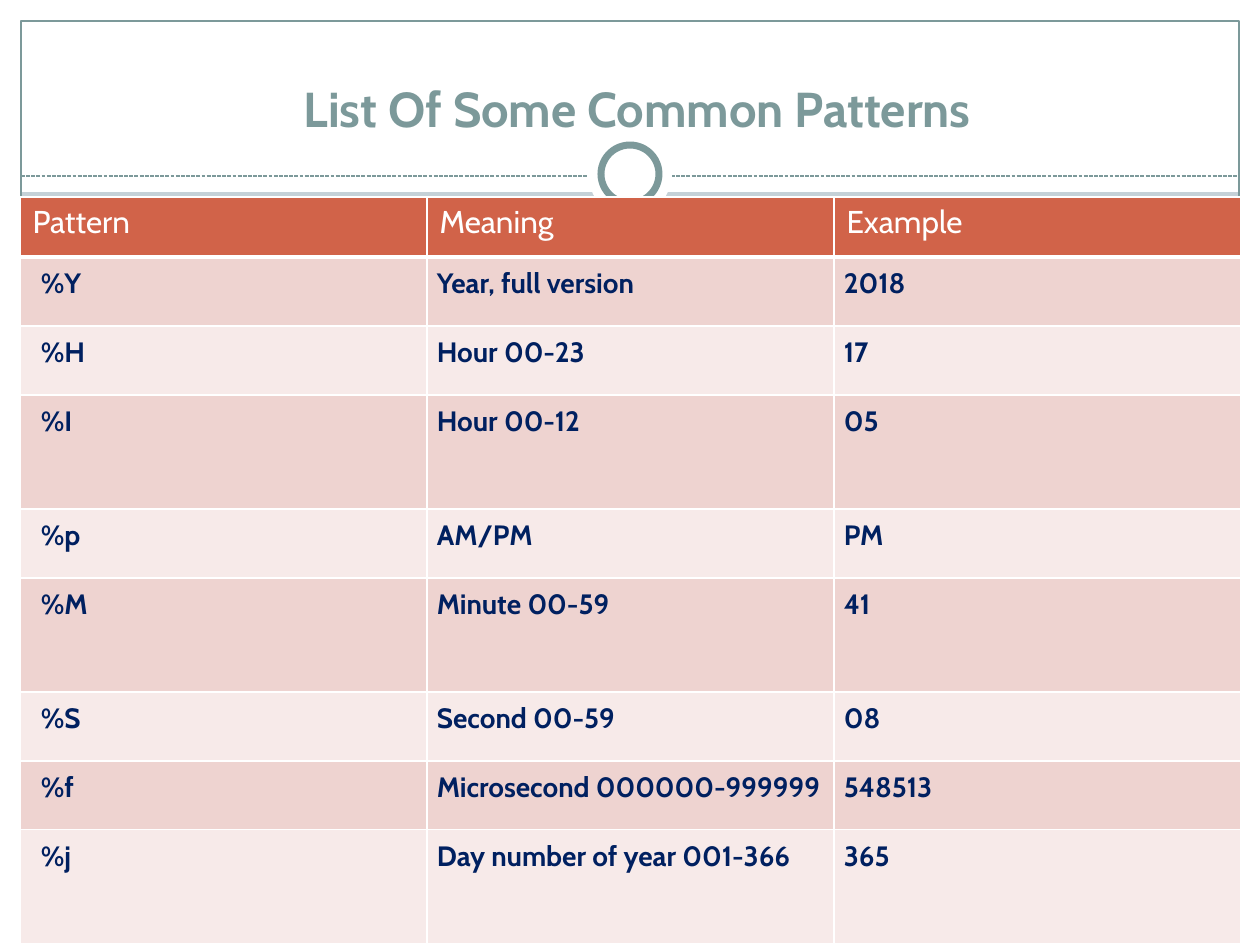
from lxml.etree import SubElement
from pptx import Presentation
from pptx.dml.color import RGBColor
from pptx.enum.dml import MSO_LINE
from pptx.enum.shapes import MSO_CONNECTOR as Conn, MSO_SHAPE as Kind
from pptx.enum.text import MSO_ANCHOR as Anchor, PP_ALIGN as Align
from pptx.oxml.ns import qn
from pptx.util import Emu, Inches, Pt

WHITE = RGBColor(0xFF, 0xFF, 0xFF)
MIST = RGBColor(0xC5, 0xD1, 0xD7)
SAGE = RGBColor(0x8C, 0xAD, 0xAE)
TEAL = RGBColor(0x7C, 0x99, 0x9A)
RUST = RGBColor(0xD1, 0x63, 0x49)
ROSE = RGBColor(0xEE, 0xD3, 0xD0)
BLUSH = RGBColor(0xF7, 0xEA, 0xE9)
NAVY = RGBColor(0x00, 0x20, 0x60)
FONT = "Cabin"
SCALE = Inches(1) / 126


def px(*nums):
    return [Emu(round(n * SCALE)) for n in nums]


def draw(kind, box, fill=None, line=None, width=0):
    shape = shapes.add_shape(kind, *px(*box))
    shape.shadow.inherit = False
    if fill is None:
        shape.fill.background()
    else:
        shape.fill.solid()
        shape.fill.fore_color.rgb = fill
    if line is None:
        shape.line.fill.background()
    else:
        shape.line.color.rgb = line
        shape.line.width = Pt(width)


deck = Presentation()
deck.slide_width, deck.slide_height = px(1260, 945)
slide = deck.slides.add_slide(deck.slide_layouts[5])
slide.background.fill.solid()
slide.background.fill.fore_color.rgb = MIST
shapes = slide.shapes

for box in [(0, 924, 1260, 21), (0, 0, 1260, 192), (0, 0, 21, 945), (1239, 0, 21, 945)]:
    draw(Kind.RECTANGLE, box, WHITE)
draw(Kind.RECTANGLE, (20, 881, 1218, 43), SAGE)
draw(Kind.RECTANGLE, (21, 21, 1218, 902), None, TEAL, 0.75)

rule = shapes.add_connector(Conn.STRAIGHT, *px(21, 176, 1239, 176))
rule.line.color.rgb = TEAL
rule.line.width = Pt(0.75)
rule.line.dash_style = MSO_LINE.SQUARE_DOT
SubElement(rule._element.spPr, qn("a:effectLst"))

draw(Kind.OVAL, (588, 132, 84, 84), WHITE)
draw(Kind.OVAL, (601, 145, 58, 58), WHITE, TEAL, 4)

title = shapes.title
shapes._spTree.append(title._element)
title.left, title.top, title.width, title.height = px(49, 39, 1176, 105)
frame = title.text_frame
frame.text = "List Of Some Common Patterns"
frame.word_wrap = True
frame.vertical_anchor = Anchor.BOTTOM
para = frame.paragraphs[0]
para.alignment = Align.CENTER
font = para.runs[0].font
font.name, font.size, font.bold = FONT, Pt(28), True
font.color.rgb = TEAL

rows = [
    ("Pattern", "Meaning", "Example"),
    ("%Y", "Year, full version", "2018"),
    ("%H", "Hour 00-23", "17"),
    ("%I", "Hour 00-12", "05"),
    ("%p", "AM/PM", "PM"),
    ("%M", "Minute 00-59", "41"),
    ("%S", "Second 00-59", "08"),
    ("%f", "Microsecond 000000-999999", "548513"),
    ("%j", "Day number of year 001-366", "365"),
]
highs = px(60, 69, 69, 114, 69, 114, 69, 69, 114)
table = shapes.add_table(len(rows), 3, *px(20, 197, 1221, 747)).table
for col in table.columns:
    col.width = px(407)[0]

for i, words in enumerate(rows):
    table.rows[i].height = highs[i]
    head = i == 0
    for j, word in enumerate(words):
        cell = table.cell(i, j)
        cell.text = word
        cell.vertical_anchor = Anchor.TOP
        if not head:
            cell.margin_left = px(21 if j == 0 else 10)[0]
            cell.margin_top = cell.margin_right = cell.margin_bottom = px(10)[0]
        font = cell.text_frame.paragraphs[0].runs[0].font
        font.name, font.size, font.bold = FONT, Pt(18 if head else 16), not head
        font.color.rgb = WHITE if head else NAVY
        props = cell._tc.get_or_add_tcPr()
        for side in "LRTB":
            wide = 3 if head and side == "B" else 1
            edge = SubElement(props, qn("a:ln" + side), w=str(Pt(wide)))
            paint = SubElement(edge, qn("a:solidFill"))
            SubElement(paint, qn("a:srgbClr"), val=str(WHITE))
        cell.fill.solid()
        cell.fill.fore_color.rgb = RUST if head else ROSE if i % 2 else BLUSH

deck.save("out.pptx")
